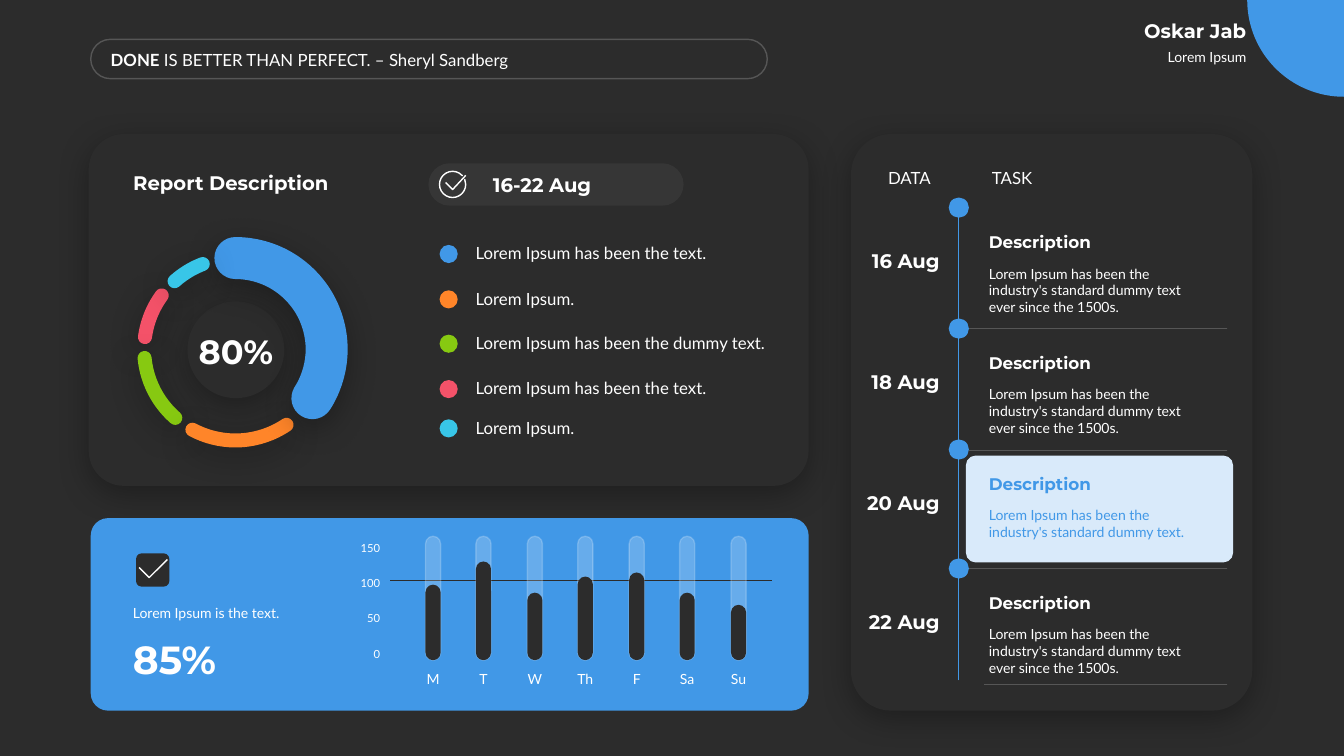
from lxml import etree
from pptx import Presentation
from pptx.dml.color import RGBColor
from pptx.enum.shapes import MSO_CONNECTOR, MSO_SHAPE
from pptx.enum.text import MSO_ANCHOR, MSO_AUTO_SIZE, PP_ALIGN
from pptx.oxml.ns import qn
from pptx.util import Pt

PX = 9144  # 100 px to the inch
ROUND, OVAL, ARC, RECT = (MSO_SHAPE.ROUNDED_RECTANGLE, MSO_SHAPE.OVAL,
                          MSO_SHAPE.ARC, MSO_SHAPE.RECTANGLE)
LINE = MSO_CONNECTOR.STRAIGHT
LEFT, CENTER, RIGHT = PP_ALIGN.LEFT, PP_ALIGN.CENTER, PP_ALIGN.RIGHT
TOP, MIDDLE, BOTTOM = MSO_ANCHOR.TOP, MSO_ANCHOR.MIDDLE, MSO_ANCHOR.BOTTOM
HEAD, BODY = "Montserrat", "Lato"
DARK, WHITE, BLUE, PALE = "2C2C2C", "FFFFFF", "4198E7", "D9EAFA"
ORANGE, GREEN, RED, CYAN = "FF8529", "87C911", "F45269", "38C6E8"
TITLE = "Report Description"

prs = Presentation()
prs.slide_width, prs.slide_height = 1333 * PX, 750 * PX
slide = prs.slides.add_slide(prs.slide_layouts[5])
shapes = slide.shapes


def paint(fill, colour, alpha=100):
    """Make a fill solid; alpha is opacity in percent, no colour means no fill."""
    if colour is None:
        fill.background()
        return
    fill.solid()
    fill.fore_color.rgb = RGBColor.from_string(colour)
    if alpha < 100:
        clr = fill._xPr.find(qn("a:solidFill"))[0]
        etree.SubElement(clr, qn("a:alpha"), val=str(alpha * 1000))


def draw(kind, box, fill=None, line=None, weight=1, adj=(),
         fill_alpha=100, line_alpha=100, shadow=False):
    """Add a shape at left, top, width, height, or a LINE from x, y to x, y."""
    box = [v * PX for v in box]
    if kind == LINE:
        sp = shapes.add_connector(LINE, *box)
        etree.SubElement(sp._element.spPr, qn("a:effectLst"))
    else:
        sp = shapes.add_shape(kind, *box)
        sp.shadow.inherit = False
        paint(sp.fill, fill, fill_alpha)
        for i, value in enumerate(adj):
            sp.adjustments[i] = value
    paint(sp.line.fill, line, line_alpha)
    if line:
        sp.line.width = Pt(weight)
        if kind == ARC:
            sp.line._ln.set("cap", "rnd")
    if shadow:
        effects = sp._element.spPr.find(qn("a:effectLst"))
        outer = etree.SubElement(effects, qn("a:outerShdw"), blurRad=str(Pt(23)),
                                 dist=str(Pt(6)), dir="5400000", algn="t", rotWithShape="0")
        clr = etree.SubElement(outer, qn("a:srgbClr"), val="000000")
        etree.SubElement(clr, qn("a:alpha"), val="30000")


paint(slide.background.fill, DARK)

# Each label: box, text, size, font, colour, alignment, anchor
labels = [
    ((1014, 43, 232, 27), "Lorem Ipsum", 10, BODY, WHITE, RIGHT, TOP),
    ((1014, 13, 232, 34), "Oskar Jab", 14, HEAD, WHITE, RIGHT, BOTTOM),
    ((122, 164, 352, 34), TITLE, 14, HEAD, WHITE, LEFT, BOTTOM),
    ((479, 166, 188, 34), "16-22 Aug", 14, HEAD, WHITE, LEFT, MIDDLE),
    ((180, 323, 108, 50), "80%", 24, HEAD, WHITE, CENTER, BOTTOM),
    ((122, 594, 188, 27), "Lorem Ipsum is the text.", 10, BODY, WHITE, LEFT, BOTTOM),
    ((122, 625, 188, 57), "85%", 28, HEAD, WHITE, LEFT, TOP),
    ((974, 161, 176, 30), "TASK", 12, BODY, WHITE, LEFT, MIDDLE),
    ((851, 161, 82, 30), "DATA", 12, BODY, WHITE, RIGHT, MIDDLE),
]

# Header
draw(ARC, (1237, -96, 192, 192), BLUE, adj=(53.78, 108.27))
draw(ROUND, (90, 39, 671, 39), line=WHITE, line_alpha=20, adj=[0.5])

# Report card: ring and legend
draw(ROUND, (88, 133, 714, 349), DARK, adj=[0.1], shadow=True)
draw(ROUND, (425, 162, 253, 42), WHITE, fill_alpha=5, adj=[0.5])
draw(ARC, (436, 170, 26, 26), line=WHITE, weight=1, adj=(338 * 0.6, 318 * 0.6))
draw(OVAL, (186, 299, 96, 96), DARK, shadow=True)
for colour, start, end, weight in [(RED, 187.68, 216.15, 10), (GREEN, 131.19, 174.5, 10),
                                   (ORANGE, 55.91, 118.1, 10), (BLUE, 270, 32.43, 30),
                                   (CYAN, 228.21, 249.04, 10)]:
    # An adjustment of 0.6 is one degree
    draw(ARC, (143, 256, 181, 181), line=colour, weight=weight,
         adj=(start * 0.6, end * 0.6), shadow=True)
for y, colour, text in [(243, BLUE, "Lorem Ipsum has been the text."),
                        (288, ORANGE, "Lorem Ipsum."),
                        (332, GREEN, "Lorem Ipsum has been the dummy text."),
                        (377, RED, "Lorem Ipsum has been the text."),
                        (416, CYAN, "Lorem Ipsum.")]:
    draw(OVAL, (436, y, 18, 18), colour)
    labels.append(((462, y - 7, 316, 30), text, 12, BODY, WHITE, LEFT, MIDDLE))

# Weekday bars
draw(ROUND, (90, 514, 712, 191), BLUE, adj=[0.09])
draw(ROUND, (135, 549, 33, 33), DARK)
draw(LINE, (387, 576, 766, 576), line=DARK, weight=0.5)
bars = {"M": 75, "T": 98, "W": 67, "Th": 83, "F": 87, "Sa": 67, "Su": 55}
for i, (day, height) in enumerate(bars.items()):
    x = 422 + 101 * i // 2
    draw(ROUND, (x, 532, 15, 123), WHITE, WHITE, adj=[0.5], fill_alpha=20, line_alpha=20)
    draw(ROUND, (x, 655 - height, 15, height), DARK, adj=[0.5])
    labels.append(((x - 22, 660, 59, 27), day, 10, BODY, WHITE, CENTER, TOP))
for i in range(4):
    labels.append(((338, 637 - 35 * i, 49, 24), str(50 * i), 8, BODY, WHITE, RIGHT, TOP))

# Check marks
for start, *rest in [[(442, 181), (449, 188), (462, 174)],
                     [(138, 563), (148, 573), (166, 555)]]:
    builder = shapes.build_freeform(*start, scale=PX)
    builder.add_line_segments(rest, close=False)
    sp = builder.convert_to_shape()
    sp.shadow.inherit = False
    paint(sp.fill, None)
    paint(sp.line.fill, WHITE)
    sp.line.width = Pt(1)

# Timeline card
draw(ROUND, (844, 133, 398, 572), DARK, adj=[0.1], shadow=True)
draw(ROUND, (958, 452, 265, 106), PALE, adj=[0.09])
draw(RECT, (1210, 452, 4, 106), BLUE)
long_text = "Lorem Ipsum has been the industry's standard dummy text ever since the 1500s."
short_text = "Lorem Ipsum has been the industry's standard dummy text."
for y, date, text, colour, rule_x, rule_y in [
        (196, "16 Aug", long_text, WHITE, 961, 326),
        (316, "18 Aug", long_text, WHITE, 961, 447),
        (436, "20 Aug", short_text, BLUE, 961, 564),
        (554, "22 Aug", long_text, WHITE, 976, 679)]:
    draw(LINE, (951, y + 121, 951, y + 14), line=BLUE, weight=0.5)
    draw(LINE, (rule_x, rule_y, 1217, rule_y), line=WHITE, weight=0.5, line_alpha=20)
    draw(OVAL, (941, y, 20, 20), BLUE)
    labels += [
        ((846, y + 45, 96, 34), date, 14, HEAD, WHITE, RIGHT, BOTTOM),
        ((971, y + 29, 237, 30), "Description", 12, HEAD, colour, LEFT, BOTTOM),
        ((971, y + 62, 237, 61), text, 10, BODY, colour, LEFT, TOP),
    ]

# Text; the quote comes last, so its second run can follow
labels.append(((100, 44, 576, 30), "DONE", 12, BODY, WHITE, LEFT, MIDDLE))
for box, text, size, font, colour, align, anchor in labels:
    left, top, width, height = [v * PX for v in box]
    if text == TITLE:
        sp = shapes.title
        sp.left, sp.top, sp.width, sp.height = left, top, width, height
        shapes._spTree.append(sp._element)  # above its card
    else:
        sp = shapes.add_textbox(left, top, width, height)
    tf = sp.text_frame
    tf.word_wrap = True
    tf.auto_size = MSO_AUTO_SIZE.NONE
    tf.vertical_anchor = anchor
    p = tf.paragraphs[0]
    p.alignment = align
    p.font.name, p.font.size, p.font.bold = font, Pt(size), font == HEAD
    paint(p.font.fill, colour)
    r = p.add_run()
    r.text = text
r.font.bold = True
r = p.add_run()
r.text = " IS BETTER THAN PERFECT. – Sheryl Sandberg"

prs.save("out.pptx")
